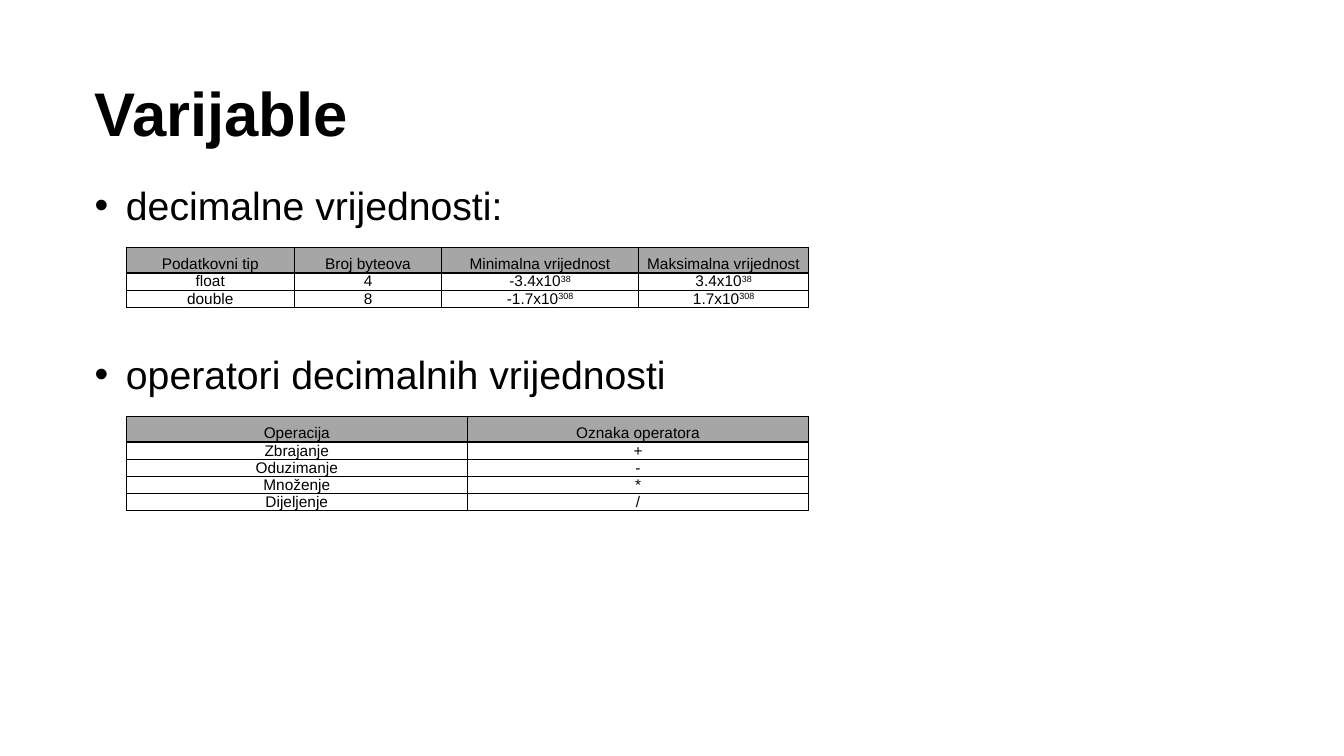
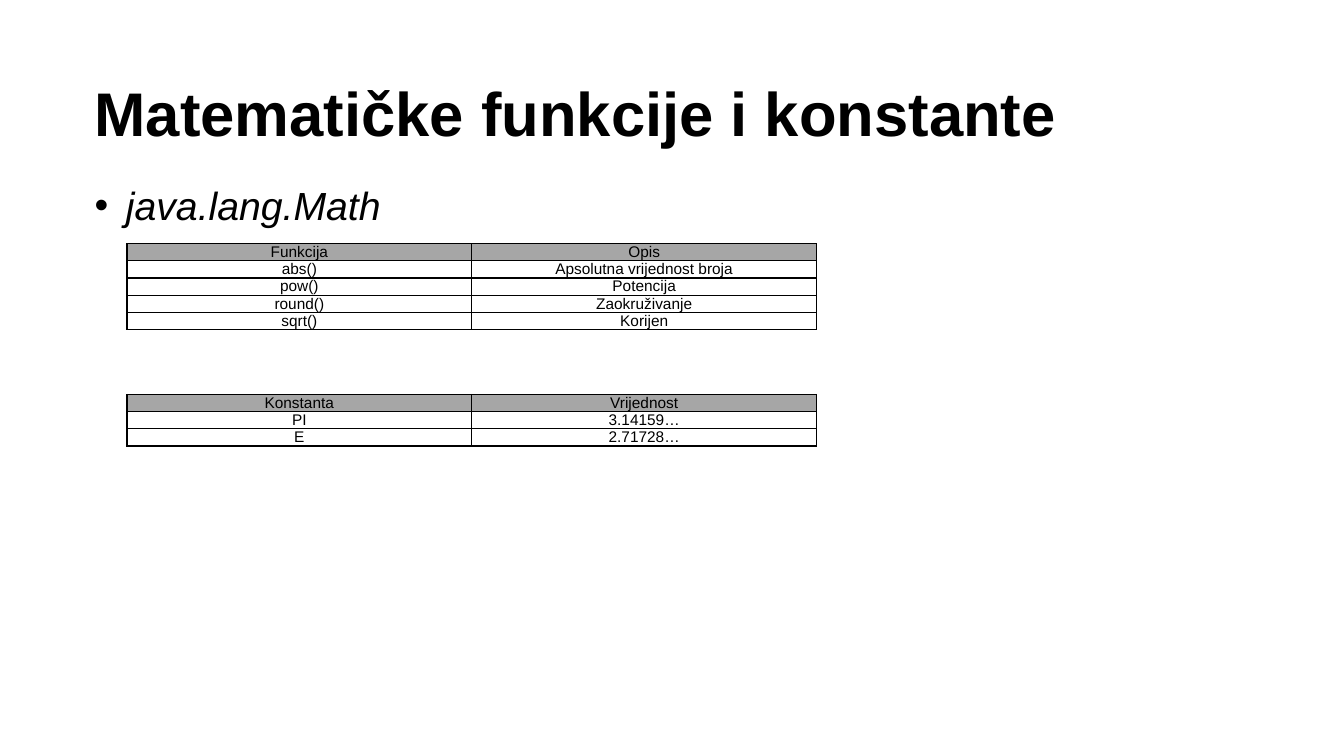
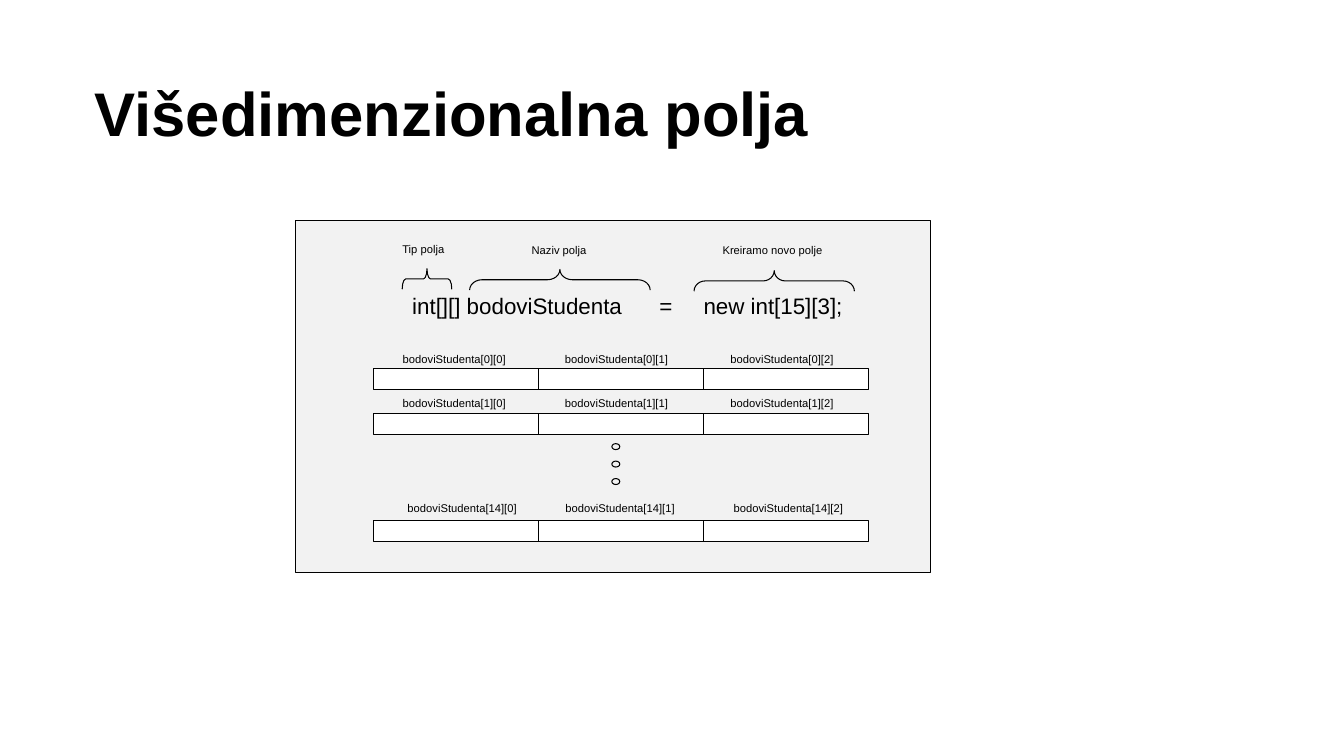
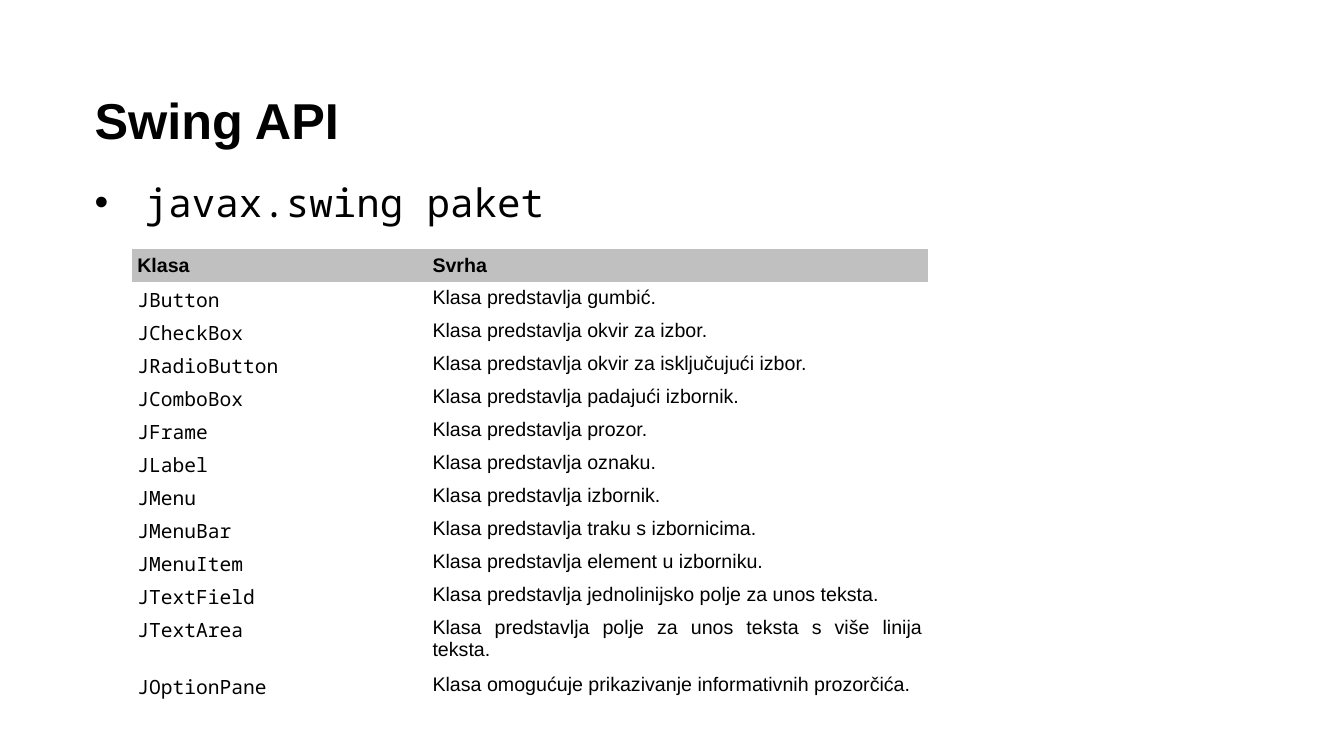
from lxml import etree
from pptx import Presentation
from pptx.dml.color import RGBColor
from pptx.enum.shapes import MSO_SHAPE as Shape
from pptx.enum.text import MSO_ANCHOR as Anchor, MSO_AUTO_SIZE as AutoSize, PP_ALIGN as Align
from pptx.oxml.ns import qn
from pptx.util import Cm, Pt

COLORS = {"ink": "000000", "paper": "FFFFFF", "panel": "F2F2F2",
          "header": "A6A6A6", "class_header": "C0C0C0"}
SANS, MONO = "Arial", "Noto Sans Mono"
LEFT = 2.13

OPERATORS = [("Operacija", "Oznaka operatora"), ("Zbrajanje", "+"), ("Oduzimanje", "-"),
             ("Množenje", "*"), ("Dijeljenje", "/")]
DECIMALS = [("Podatkovni tip", "Broj byteova", "Minimalna vrijednost", "Maksimalna vrijednost"),
            ("float", "4", "-3.4x10^38", "3.4x10^38"),
            ("double", "8", "-1.7x10^308", "1.7x10^308")]
FUNCTIONS = [("Funkcija", "Opis"), ("abs()", "Apsolutna vrijednost broja"), ("pow()", "Potencija"),
             ("round()", "Zaokruživanje"), ("sqrt()", "Korijen")]
CONSTANTS = [("Konstanta", "Vrijednost"), ("PI", "3.14159…"), ("E", "2.71728…")]
CLASSES = [
    ("Klasa", "Svrha"),
    ("JButton", "Klasa predstavlja gumbić."),
    ("JCheckBox", "Klasa predstavlja okvir za izbor."),
    ("JRadioButton", "Klasa predstavlja okvir za isključujući izbor."),
    ("JComboBox", "Klasa predstavlja padajući izbornik."),
    ("JFrame", "Klasa predstavlja prozor."),
    ("JLabel", "Klasa predstavlja oznaku."),
    ("JMenu", "Klasa predstavlja izbornik."),
    ("JMenuBar", "Klasa predstavlja traku s izbornicima."),
    ("JMenuItem", "Klasa predstavlja element u izborniku."),
    ("JTextField", "Klasa predstavlja jednolinijsko polje za unos teksta."),
    ("JTextArea", "Klasa predstavlja polje za unos teksta s više linija teksta."),
    ("JOptionPane", "Klasa omogućuje prikazivanje informativnih prozorčića."),
]


# Shared formatting
def color(name):
    return RGBColor.from_string(COLORS[name])


def set_all(target, values):
    for name, value in values.items():
        setattr(target, name, value)


def place(shape, left, top, width, height):
    set_all(shape, {"left": Cm(left), "top": Cm(top), "width": Cm(width), "height": Cm(height)})


def write(para, text, size, font=SANS, **style):
    """Add text to a paragraph; what follows ^ is raised."""
    for index, piece in enumerate(text.split("^")):
        span = para.add_run()
        span.text = piece
        set_all(span.font, {"name": font, "size": Pt(size), **style})
        span.font.color.rgb = color("ink")
        if index:
            span._r.get_or_add_rPr().set("baseline", "30000")


# Title and list placeholders
def add_slide(deck, layout, title, size=44):
    slide = deck.slides.add_slide(deck.slide_layouts[layout])
    place(slide.shapes.title, LEFT, 1.57, 25.4, 2.34)
    frame = slide.shapes.title.text_frame
    set_all(frame, {"vertical_anchor": Anchor.BOTTOM, "auto_size": AutoSize.NONE})
    para = frame.paragraphs[0]
    set_all(para, {"alignment": Align.LEFT, "line_spacing": 0.9})
    write(para, title, size, bold=True)
    return slide


def fill_list(slide, items, top=4.57, height=11.48, indent=0.79, spacing=0.9, gap=0, **style):
    body = slide.placeholders[1]
    place(body, LEFT, top, 26.95, height)
    frame = body.text_frame
    frame.auto_size = AutoSize.NONE
    for index, item in enumerate(items):
        para = frame.add_paragraph() if index else frame.paragraphs[0]
        props = para._p.get_or_add_pPr()
        props.set("marL", str(Cm(indent)))
        props.set("indent", str(-Cm(indent)))
        etree.SubElement(props, qn("a:buFont"), typeface=SANS)
        etree.SubElement(props, qn("a:buChar"), char="•")
        set_all(para, {"line_spacing": spacing, "space_before": Pt(gap if index else 0)})
        write(para, item, 28, **style)


# Tables
def set_borders(cell, width):
    props = cell._tc.get_or_add_tcPr()
    for index, side in enumerate(("a:lnL", "a:lnR", "a:lnT", "a:lnB")):
        line = etree.Element(qn(side), w=str(Pt(width)))
        if width:
            fill = etree.SubElement(line, qn("a:solidFill"))
            etree.SubElement(fill, qn("a:srgbClr"), val=COLORS["ink"])
        else:
            etree.SubElement(line, qn("a:noFill"))
        props.insert(index, line)


def add_table(slide, rows, left, top, widths, row_height, head_height, head_fill, border,
              margins, format_cell):
    height = head_height + row_height * (len(rows) - 1)
    table = slide.shapes.add_table(len(rows), len(widths), Cm(left), Cm(top),
                                   Cm(sum(widths)), Cm(height)).table
    set_all(table, {"first_row": False, "horz_banding": False})
    for column, width in zip(table.columns, widths):
        column.width = Cm(width)
    side, above, below = margins
    for r, texts in enumerate(rows):
        table.rows[r].height = Cm(row_height if r else head_height)
        for c, text in enumerate(texts):
            cell = table.cell(r, c)
            set_all(cell, {"margin_left": Cm(side), "margin_right": Cm(side),
                           "margin_top": Cm(above), "margin_bottom": Cm(below)})
            if r:
                cell.fill.background()
            else:
                cell.fill.solid()
                cell.fill.fore_color.rgb = color(head_fill)
            set_borders(cell, border)
            format_cell(cell, text, r, c)
    return table


def add_grid_table(slide, rows, left, top, widths, tall_head=False):
    def format_cell(cell, text, r, c):
        para = cell.text_frame.paragraphs[0]
        para.alignment = Align.CENTER
        if tall_head and r == 0:
            para.line_spacing = Pt(18)
        write(para, text, 11)

    add_table(slide, rows, left, top, widths, 0.43, 0.64 if tall_head else 0.43,
              "header", 1, (0.18, 0, 0), format_cell)


def add_class_table(slide):
    def format_cell(cell, text, r, c):
        para = cell.text_frame.paragraphs[0]
        para.alignment = Align.JUSTIFY if r else Align.LEFT
        if r == 0:
            set_all(cell, {"vertical_anchor": Anchor.BOTTOM, "margin_bottom": Cm(0.13)})
        write(para, text, 14, MONO if r and c == 0 else SANS, bold=r == 0)

    table = add_table(slide, CLASSES, 3.33, 6.27, [7.44, 12.61], 0.83, 0.83,
                      "class_header", 0, (0.13, 0.13, 0.02), format_cell)
    # The text area row holds two lines
    table.rows[11].height = Cm(1.44)


# Diagram parts
def add_figure(slide, kind, left, top, width, height, fill=None):
    shape = slide.shapes.add_shape(kind, Cm(left), Cm(top), Cm(width), Cm(height))
    shape.shadow.inherit = False
    if fill:
        shape.fill.solid()
        shape.fill.fore_color.rgb = color(fill)
    else:
        shape.fill.background()
    shape.line.color.rgb = color("ink")
    shape.line.width = Pt(0.75)
    return shape


def add_label(slide, text, center, top):
    width = 4
    box = slide.shapes.add_textbox(Cm(center - width / 2), Cm(top), Cm(width), Cm(0.38))
    frame = box.text_frame
    set_all(frame, {"word_wrap": True, "vertical_anchor": Anchor.MIDDLE, "margin_left": 0,
                    "margin_right": 0, "margin_top": 0, "margin_bottom": 0})
    frame.paragraphs[0].alignment = Align.CENTER
    write(frame.paragraphs[0], text, 8)


def add_brace(slide, center, middle, span, curve):
    depth = 0.52
    brace = add_figure(slide, Shape.LEFT_BRACE, center - depth / 2, middle - span / 2, depth, span)
    brace.rotation = 90
    brace.adjustments[0] = curve


def add_declaration(slide):
    box = slide.shapes.add_textbox(Cm(10.14), Cm(7.24), Cm(14.1), Cm(0.97))
    box.text_frame.word_wrap = True
    para = box.text_frame.paragraphs[0]
    tabs = etree.SubElement(para._p.get_or_add_pPr(), qn("a:tabLst"))
    for stop in (6.23, 7.34):
        etree.SubElement(tabs, qn("a:tab"), pos=str(Cm(stop)), algn="l")
    write(para, "int[][] bodoviStudenta\t=\tnew int[15][3];", 16)


def draw_array(slide):
    add_figure(slide, Shape.RECTANGLE, 7.44, 5.56, 16, 8.86, "panel")

    # Array rows: index, cell top, label top, label centres
    centers = (11.45, 15.54, 19.71)
    array_rows = [(0, 9.29, 8.86, centers), (1, 10.41, 9.96, centers),
                  (14, 13.11, 12.6, (11.65, 15.63, 19.87))]
    cell_width = 4.16
    for index, cell_top, label_top, label_centers in array_rows:
        for column, center in enumerate(label_centers):
            add_figure(slide, Shape.RECTANGLE, 9.42 + column * cell_width, cell_top,
                       cell_width, 0.53, "paper")
            add_label(slide, f"bodoviStudenta[{index}][{column}]", center, label_top)
    for step in range(3):
        add_figure(slide, Shape.OVAL, 15.42, 11.18 + step * 0.44, 0.2, 0.15)

    # Declaration with its braces
    add_declaration(slide)
    for center, middle, span, curve in ((10.76, 7.03, 1.25, 0.17), (14.11, 7.05, 4.55, 0.6),
                                        (19.51, 7.08, 4.04, 0.54)):
        add_brace(slide, center, middle, span, curve)
    for text, center, top in (("Tip polja", 10.67, 6.08), ("Naziv polja", 14.09, 6.11),
                              ("Kreiramo novo polje", 19.47, 6.11)):
        add_label(slide, text, center, top)


def main():
    deck = Presentation()
    set_all(deck, {"slide_width": Cm(33.87), "slide_height": Cm(19.05)})

    # Variables
    slide = add_slide(deck, 1, "Varijable")
    fill_list(slide, ["decimalne vrijednosti:", "operatori decimalnih vrijednosti"], gap=90.6)
    add_grid_table(slide, DECIMALS, 3.18, 6.24, [4.24, 3.71, 4.96, 4.29], tall_head=True)
    add_grid_table(slide, OPERATORS, 3.18, 10.5, [8.6, 8.6], tall_head=True)

    # Mathematical functions and constants
    slide = add_slide(deck, 1, "Matematičke funkcije i konstante")
    fill_list(slide, ["java.lang.Math"], italic=True)
    add_grid_table(slide, FUNCTIONS, 3.2, 6.14, [8.69, 8.69])
    add_grid_table(slide, CONSTANTS, 3.2, 9.94, [8.69, 8.69])

    # Multidimensional arrays
    draw_array(add_slide(deck, 5, "Višedimenzionalna polja"))

    # Swing classes
    slide = add_slide(deck, 1, "Swing API", size=36)
    fill_list(slide, ["javax.swing paket"], top=4.37, height=1.45, indent=1.27, spacing=1, font=MONO)
    add_class_table(slide)

    deck.save("out.pptx")


if __name__ == "__main__":
    main()
